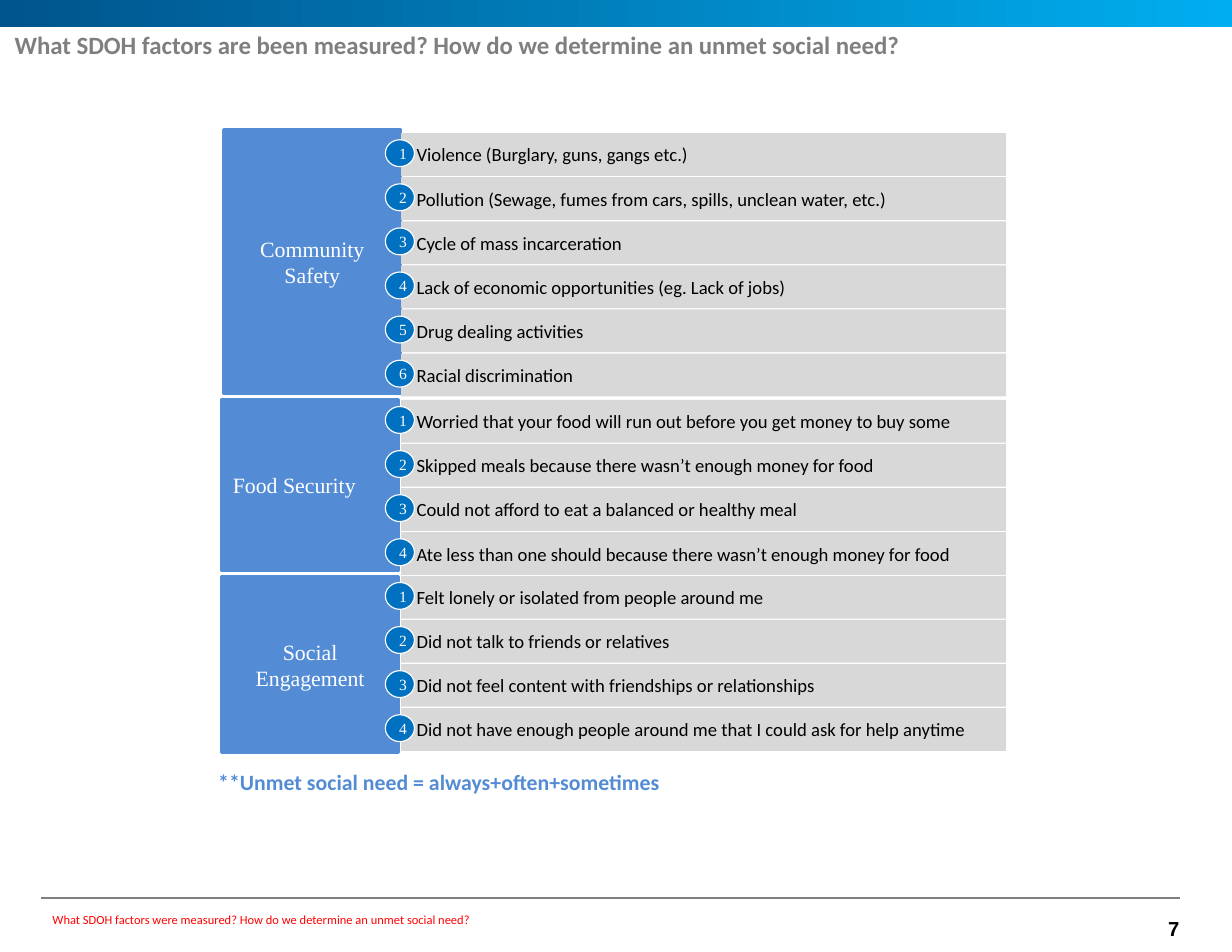
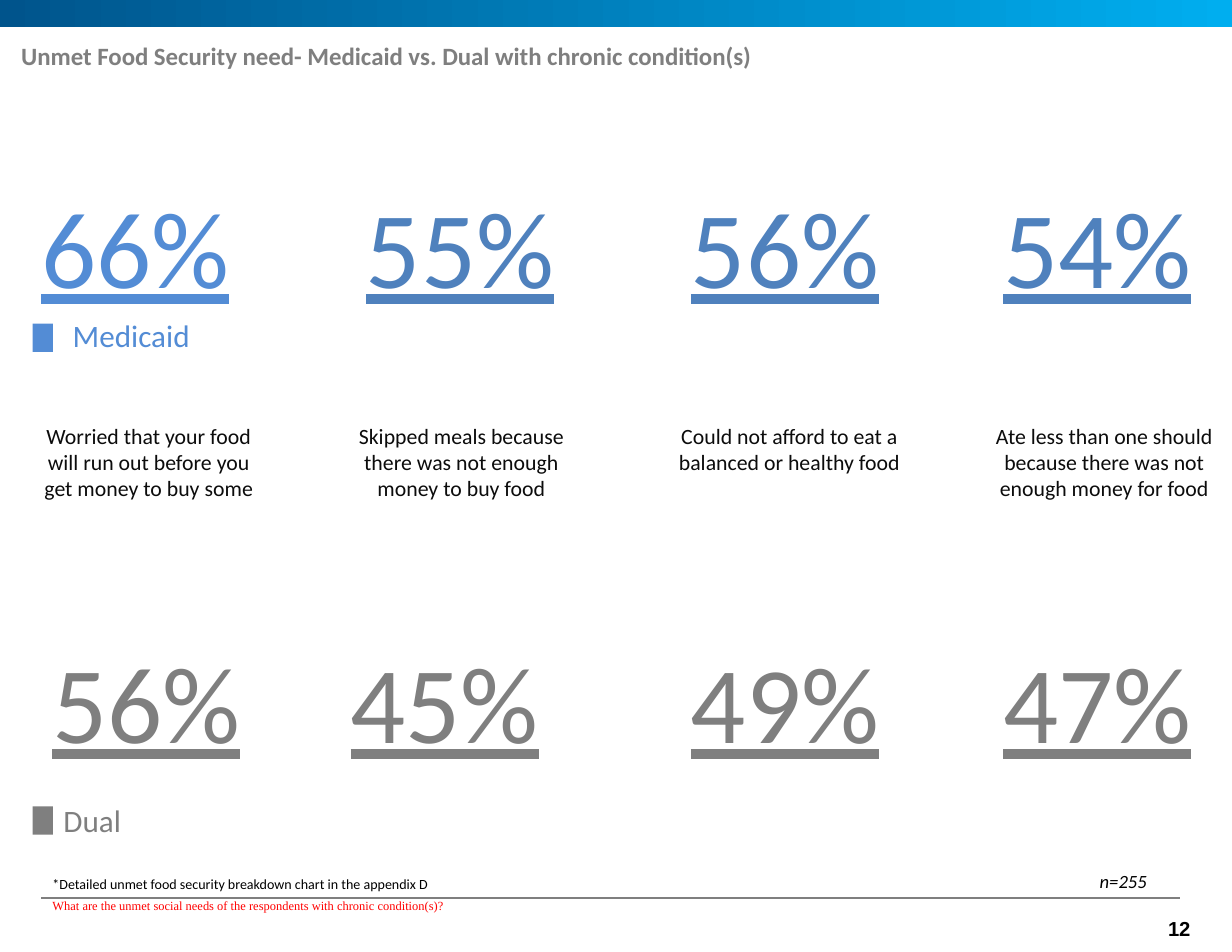
from lxml.etree import SubElement
from pptx import Presentation
from pptx.dml.color import RGBColor as Rgb
from pptx.enum.shapes import MSO_CONNECTOR as Link, MSO_SHAPE as Kind
from pptx.enum.text import MSO_ANCHOR as Anchor, MSO_AUTO_SIZE as Auto, PP_ALIGN as Align
from pptx.oxml.ns import qn
from pptx.util import Cm, Pt

HUES = {
    "navy": "00548C", "sky": "00AEEF", "gray": "7F7F7F", "pale": "D8D8D8",
    "blue": "538CD5", "steel": "4F81BD", "disc": "0070C0", "red": "FF0000",
    "black": "000000", "ink": "0C0C0C", "white": "FFFFFF",
}
SANS, SERIF = "Calibri", "Times New Roman"
WIDE, TALL = 27.94, 21.59
STEP, ROW, DISC = 1.0, 0.97, (0.66, 0.61)

STYLES = {
    "title": {"name": SANS, "size": 16, "color": "gray", "bold": True},
    "page": {"name": "Arial", "size": 13, "color": "black", "bold": True},
    "foot": {"name": SANS, "size": 8, "color": "red"},
    "foot serif": {"name": SERIF, "size": 8, "color": "red"},
    "topic": {"name": SERIF, "size": 14, "color": "white"},
    "factor": {"name": SANS, "size": 12, "color": "black"},
    "digit": {"name": SERIF, "size": 10, "color": "white"},
    "rule": {"name": SANS, "size": 14, "color": "blue", "bold": True},
    "rate": {"name": SANS, "size": 70, "underline": True},
    "need": {"name": SANS, "size": 14, "color": "ink"},
    "key": {"name": SANS, "size": 20},
    "note": {"name": SANS, "size": 9, "color": "black"},
    "count": {"name": SANS, "size": 12, "color": "black", "italic": True},
}

TOPICS = [
    ("Community Safety", Align.CENTER, (5.08, 2.95, 4.01, 5.97), 3.02, [
        "Violence (Burglary, guns, gangs etc.)",
        "Pollution (Sewage, fumes from cars, spills, unclean water, etc.)",
        "Cycle of mass incarceration",
        "Lack of economic opportunities (eg. Lack of jobs)",
        "Drug dealing activities",
        "Racial discrimination",
    ]),
    ("Food Security", Align.LEFT, (5.03, 9.07, 4.01, 3.86), 9.07, [
        "Worried that your food will run out before you get money to buy some",
        "Skipped meals because there wasn’t enough money for food",
        "Could not afford to eat a balanced or healthy meal",
        "Ate less than one should because there wasn’t enough money for food",
    ]),
    ("Social Engagement", Align.CENTER, (5.03, 13.08, 4.01, 3.99), 13.06, [
        "Felt lonely or isolated from people around me",
        "Did not talk to friends or relatives",
        "Did not feel content with friendships or relationships",
        "Did not have enough people around me that I could ask for help anytime",
    ]),
]

NEEDS = [
    (0.48, "Worried that your food will run out before you get money to buy some"),
    (7.57, "Skipped meals because there was not enough money to buy food"),
    (15.01, "Could not afford to eat a balanced or healthy food"),
    (22.15, "Ate less than one should because there was not enough money for food"),
]
PAID = [(0.69, "66%", "blue"), (8.05, "55%", "steel"),
        (15.42, "56%", "steel"), (22.5, "54%", "steel")]
DUAL = [(0.94, "56%", "gray"), (7.7, "45%", "gray"),
        (15.42, "49%", "gray"), (22.5, "47%", "gray")]


def hue(name):
    """Return the named colour."""
    return Rgb.from_string(HUES[name])


def write(shape, words, style, align=Align.LEFT, **more):
    """Put one styled paragraph into a shape."""
    frame = shape.text_frame
    frame.word_wrap = True
    para = frame.paragraphs[0]
    para.alignment = align
    run = para.add_run()
    run.text = words
    for key, value in {**STYLES[style], **more}.items():
        if key == "color":
            run.font.color.rgb = hue(value)
        else:
            setattr(run.font, key, Pt(value) if key == "size" else value)
    return para


def label(slide, box, words, style, align=Align.LEFT, **more):
    """Add a text box."""
    write(slide.shapes.add_textbox(*map(Cm, box)), words, style, align, **more)


def block(slide, box, fill, kind=Kind.RECTANGLE, line=None, width=1):
    """Add a flat shape, with an outline if one is named."""
    shape = slide.shapes.add_shape(kind, *map(Cm, box))
    shape.shadow.inherit = False
    shape.fill.solid()
    shape.fill.fore_color.rgb = hue(fill)
    if line:
        shape.line.color.rgb = hue(line)
        shape.line.width = Pt(width)
    else:
        shape.line.fill.background()
    shape.text_frame.vertical_anchor = Anchor.MIDDLE
    return shape


def head(slide, left, top, words):
    """Draw the top band and place the title."""
    band = block(slide, (0, 0, WIDE, 0.61), "navy")
    band.fill.gradient()
    band.fill.gradient_angle = 0
    for stop, name, spot in zip(band.fill.gradient_stops, ("navy", "sky"), (0, 1)):
        stop.color.rgb = hue(name)
        stop.position = spot
    title = slide.shapes.title
    for key, value in zip(("left", "top", "width", "height"), (left, top, 26.8, 0.94)):
        setattr(title, key, Cm(value))
    frame = title.text_frame
    looks = {"auto_size": Auto.NONE, "vertical_anchor": Anchor.TOP,
             "margin_left": 0, "margin_right": 0, "margin_top": 0, "margin_bottom": 0}
    for key, value in looks.items():
        setattr(frame, key, value)
    write(title, words, "title").line_spacing = 0.9


def foot(slide, top, words, style, page):
    """Draw the bottom rule, the footer and the page number."""
    rule = slide.shapes.add_connector(Link.STRAIGHT, *map(Cm, (0.94, 20.37, 26.77, 20.37)))
    rule.line.color.rgb = hue("gray")
    rule.line.width = Pt(1)
    SubElement(rule._element.spPr, qn("a:effectLst"))
    label(slide, (26.24, 20.65, 1.1, 0.81), page, "page")
    label(slide, (0.94, top, 25.8, 0.61), words, style)


def topic(slide, box, name, align, first, rows):
    """Draw a topic panel with its numbered rows."""
    write(block(slide, box, "blue", line="blue", width=2), name, "topic", align)
    edge = 9.1
    for num, words in enumerate(rows):
        top = first + num * STEP
        bar = block(slide, (edge, top, 13.72, ROW), "pale")
        bar.text_frame.margin_left = Cm(0.35)
        write(bar, words, "factor")
        disc = block(slide, (edge - 0.36, top + 0.15, *DISC), "disc",
                     Kind.FLOWCHART_CONNECTOR, "white", 0.75)
        write(disc, str(num + 1), "digit", Align.CENTER)


def rates(slide, top, items):
    """Write a row of large percentages."""
    for left, words, color in items:
        label(slide, (left, top, 5.03, 3.25), words, "rate", color=color)


def key(slide, left, top, gap, drop, words, color):
    """Draw a legend square and its name."""
    block(slide, (left, top, 0.46, 0.64), color)
    label(slide, (left + gap, top - drop, 7.57, 1.12), words, "key", color=color)


def factors(slide):
    """Build the slide of measured factors."""
    head(slide, 0.33, 0.76, "What SDOH factors are been measured? "
         "How do we determine an unmet social need?")
    foot(slide, 20.55, "What SDOH factors were measured? "
         "How do we determine an unmet social need?", "foot", "7")
    for name, align, box, first, rows in TOPICS:
        topic(slide, box, name, align, first, rows)
    label(slide, (4.7, 17.3, 11.25, 0.86),
          "**Unmet social need = always+often+sometimes", "rule")


def compare(slide):
    """Build the slide that compares the two groups."""
    head(slide, 0.48, 0.99,
         "Unmet Food Security need- Medicaid vs. Dual with chronic condition(s)")
    foot(slide, 20.24, "What are the unmet social needs of the respondents "
         "with chronic condition(s)?", "foot serif", "12")
    rates(slide, 3.94, PAID)
    rates(slide, 14.27, DUAL)
    for left, words in NEEDS:
        label(slide, (left, 9.46, 5.79, 2.1), words, "need", Align.CENTER)
    key(slide, 0.74, 7.34, 0.66, 0.3, "Medicaid", "blue")
    key(slide, 0.74, 18.29, 0.45, 0.25, "Dual", "gray")
    label(slide, (0.94, 19.74, 15.14, 0.64),
          "*Detailed unmet food security breakdown chart in the appendix D", "note")
    label(slide, (24.69, 19.61, 2.95, 0.76), "n=255", "count")


def main():
    """Build and save the deck."""
    deck = Presentation()
    deck.slide_width, deck.slide_height = Cm(WIDE), Cm(TALL)
    for build in (factors, compare):
        build(deck.slides.add_slide(deck.slide_layouts[5]))
    deck.save("out.pptx")


if __name__ == "__main__":
    main()
